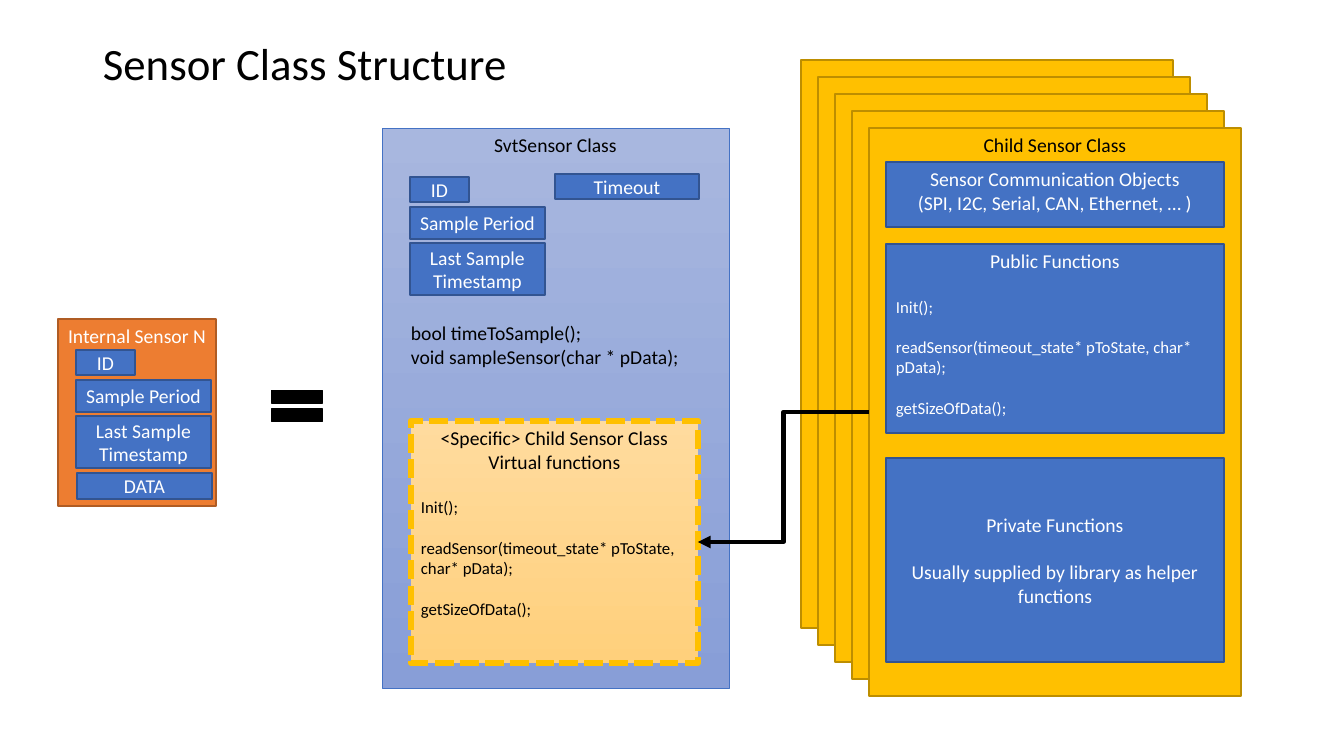
from lxml import etree
from pptx import Presentation
from pptx.dml.color import RGBColor
from pptx.enum.dml import MSO_LINE
from pptx.enum.shapes import MSO_CONNECTOR, MSO_SHAPE
from pptx.enum.text import MSO_ANCHOR, PP_ALIGN
from pptx.oxml.ns import qn
from pptx.util import Emu, Pt

EMU_PER_PIXEL = 914400 / 100.8
BLACK = RGBColor(0, 0, 0)
WHITE = RGBColor(255, 255, 255)
BLUE = RGBColor(0x44, 0x72, 0xC4)
BLUE_EDGE = RGBColor(0x32, 0x54, 0x91)
ORANGE = RGBColor(0xED, 0x7D, 0x31)
ORANGE_EDGE = RGBColor(0xAF, 0x5C, 0x24)
GOLD = RGBColor(0xFF, 0xC0, 0)
GOLD_EDGE = RGBColor(0xBD, 0x8E, 0)
BASE_TOP = RGBColor(0xA8, 0xB7, 0xDF)
BASE_BOTTOM = RGBColor(0x88, 0x9E, 0xD7)
VIRTUAL_TOP = RGBColor(0xFF, 0xDB, 0x9E)
VIRTUAL_BOTTOM = RGBColor(0xFF, 0xD0, 0x7C)

BLANK_LINE_14 = 17.1
BLANK_LINE_12 = 14.6
INTERFACE = [
    ("Init();", BLANK_LINE_14),
    ("readSensor(timeout_state* pToState, char* pData);", BLANK_LINE_12),
    ("getSizeOfData();", BLANK_LINE_12),
]


def px(*lengths):
    return [Emu(round(length * EMU_PER_PIXEL)) for length in lengths]


def write(frame, lines, color, size=14, align=PP_ALIGN.CENTER, anchor=MSO_ANCHOR.TOP):
    frame.word_wrap = True
    frame.vertical_anchor = anchor
    frame.text = "\n".join(lines)
    for paragraph in frame.paragraphs:
        paragraph.alignment = align
        font = paragraph.runs[0].font
        font.name, font.size, font.color.rgb = "Calibri", Pt(size), color


def block(slide, box, fill, edge, lines=(), color=WHITE, anchor=MSO_ANCHOR.TOP,
          weight=1, kind=MSO_SHAPE.RECTANGLE):
    shape = slide.shapes.add_shape(kind, *px(*box))
    shape.shadow.inherit = False
    if isinstance(fill, RGBColor):
        shape.fill.solid()
        shape.fill.fore_color.rgb = fill
    else:
        shape.fill.gradient()
        shape.fill.gradient_angle = 270
        for stop, shade, position in zip(shape.fill.gradient_stops, fill, (0, 1)):
            stop.color.rgb, stop.position = shade, position
    shape.line.color.rgb = edge
    shape.line.width = Pt(weight)
    if lines:
        write(shape.text_frame, lines, color, anchor=anchor)
    return shape


def blue_block(slide, box, *lines, anchor=MSO_ANCHOR.MIDDLE):
    return block(slide, box, BLUE, BLUE_EDGE, lines, anchor=anchor)


def plain_text(slide, box, lines, size, anchor=MSO_ANCHOR.TOP):
    frame = slide.shapes.add_textbox(*px(*box)).text_frame
    write(frame, lines, BLACK, size, PP_ALIGN.LEFT, anchor)
    return frame


def interface_block(shape, heading_count):
    for paragraph, (_, gap) in zip(shape.text_frame.paragraphs[heading_count:], INTERFACE):
        paragraph.alignment = PP_ALIGN.LEFT
        paragraph.space_before = Pt(gap)
        paragraph.runs[0].font.size = Pt(12)


def sample_fields(slide, left, top):
    blue_block(slide, (left, top, 59, 25), "ID")
    blue_block(slide, (left, top + 30, 135, 32), "Sample Period")
    blue_block(slide, (left, top + 66, 135, 52), "Last Sample Timestamp")


def internal_sensor(slide, left, top, width, height):
    block(slide, (left, top, width, height), ORANGE, ORANGE_EDGE, ["Internal Sensor N"])
    sample_fields(slide, left + 18, top + 31)
    blue_block(slide, (left + 19, top + 154, 135, 26), "DATA")


def base_class(slide, left, top, width, height):
    block(slide, (left, top, width, height), (BASE_TOP, BASE_BOTTOM), BLUE,
          ["SvtSensor Class"], BLACK, weight=0.5)
    sample_fields(slide, left + 28, top + 49)
    blue_block(slide, (left + 173, top + 46, 144, 25), "Timeout")
    plain_text(slide, (left + 19, top + 188, 296, 57),
               ["bool timeToSample();", "void sampleSensor(char * pData);"], 14)
    headings = ["<Specific> Child Sensor Class", "Virtual functions"]
    virtual = block(slide, (left + 29, top + 293, 287, 242),
                    (VIRTUAL_TOP, VIRTUAL_BOTTOM), GOLD,
                    headings + [call for call, _ in INTERFACE], BLACK, weight=4.5)
    virtual.line.dash_style = MSO_LINE.SQUARE_DOT
    interface_block(virtual, len(headings))
    return virtual


def child_classes(slide, left, top, width, height, count=5, step=17):
    for depth in range(count - 1, 0, -1):
        block(slide, (left - depth * step, top - depth * step, width, height),
              GOLD, GOLD_EDGE)
    front = block(slide, (left, top, width, height), GOLD, GOLD_EDGE,
                  ["Child Sensor Class"], BLACK)
    inner = left + 17
    blue_block(slide, (inner, top + 34, 338, 65), "Sensor Communication Objects",
               "(SPI, I2C, Serial, CAN, Ethernet, … )", anchor=MSO_ANCHOR.TOP)
    public = blue_block(slide, (inner, top + 116, 338, 189), "Public Functions",
                        *[call for call, _ in INTERFACE], anchor=MSO_ANCHOR.TOP)
    interface_block(public, 1)
    private = blue_block(slide, (inner, top + 330, 338, 204), "Private Functions",
                         "Usually supplied by library as helper functions")
    private.text_frame.paragraphs[1].space_before = Pt(BLANK_LINE_14)
    return front


def inheritance_arrow(slide, child, virtual):
    arrow = slide.shapes.add_connector(MSO_CONNECTOR.ELBOW, 0, 0, 0, 0)
    arrow.begin_connect(child, 1)
    arrow.end_connect(virtual, 3)
    arrow.line.color.rgb = BLACK
    arrow.line.width = Pt(3)
    etree.SubElement(arrow.line._get_or_add_ln(), qn("a:tailEnd"), type="triangle")
    etree.SubElement(arrow._element.spPr, qn("a:effectLst"))


presentation = Presentation()
presentation.slide_width, presentation.slide_height = px(1344, 756)
slide = presentation.slides.add_slide(presentation.slide_layouts[6])

title = plain_text(slide, (93, 40, 1159, 52), ["Sensor Class Structure"], 32,
                   MSO_ANCHOR.MIDDLE)
title.paragraphs[0].line_spacing = 0.9
internal_sensor(slide, 58, 319, 158, 187)
block(slide, (262, 380, 70, 52), BLACK, BLACK, kind=MSO_SHAPE.MATH_EQUAL)
virtual_functions = base_class(slide, 382, 128, 347, 560)
front_child = child_classes(slide, 869, 128, 372, 568)
inheritance_arrow(slide, front_child, virtual_functions)

presentation.save("out.pptx")
